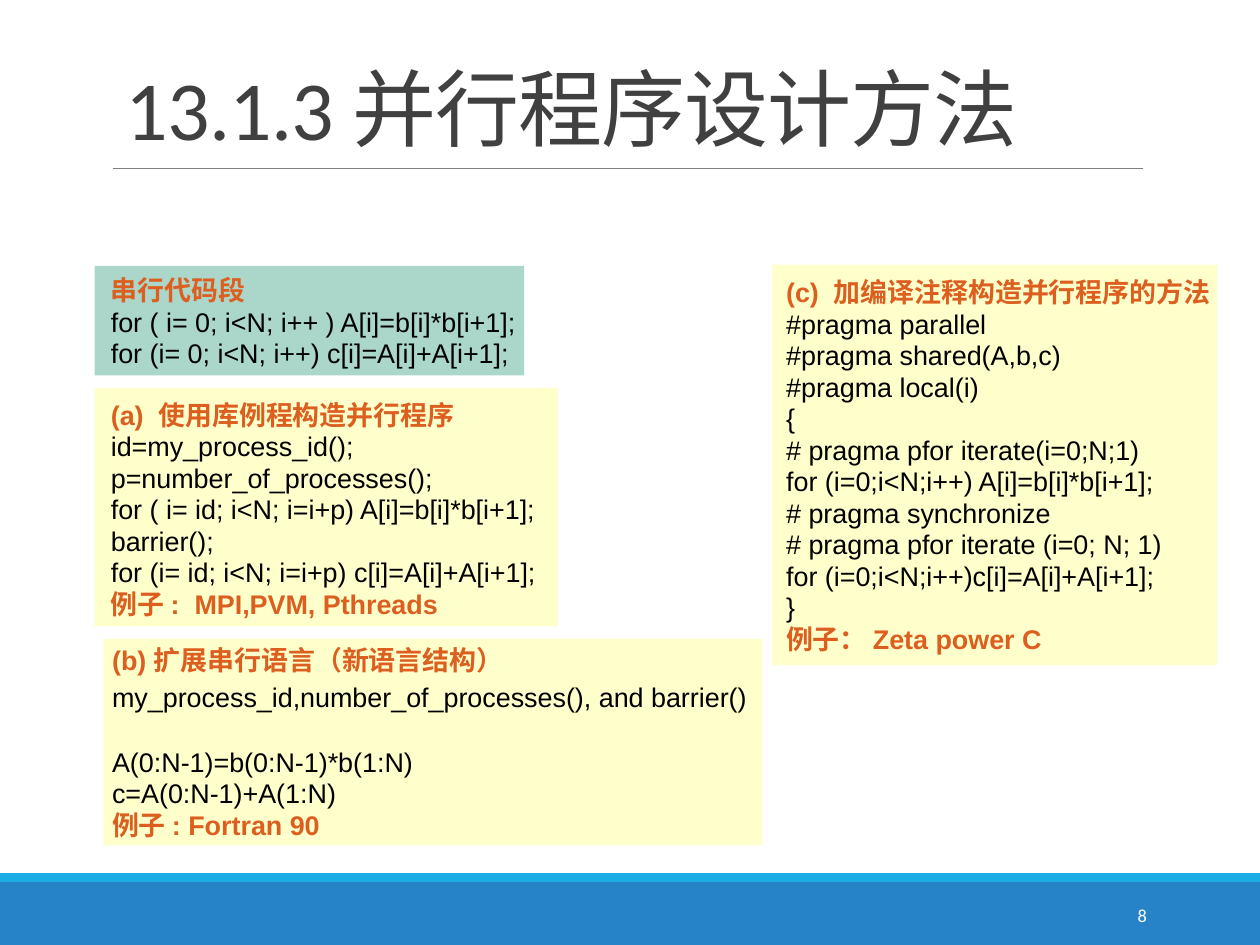
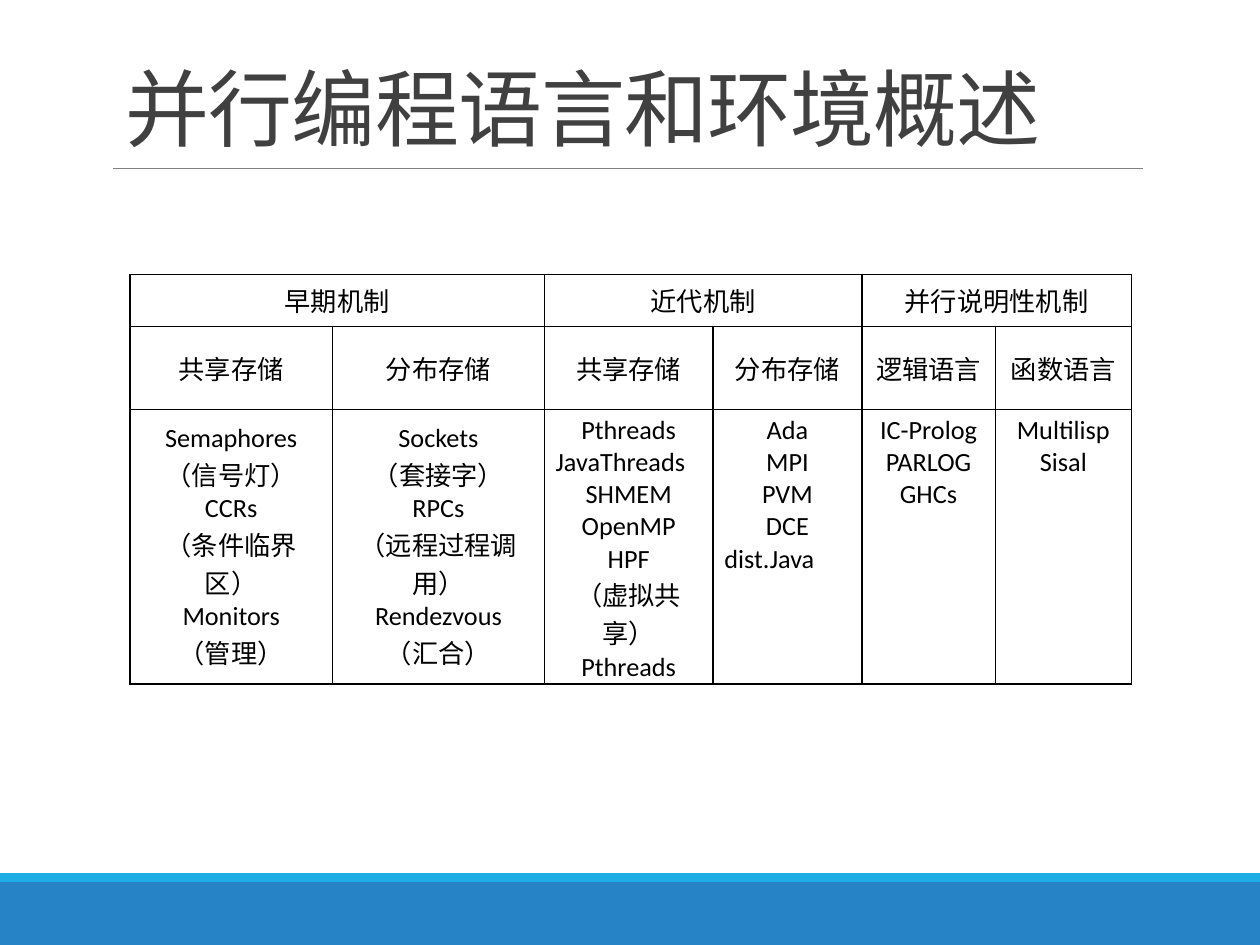
"""Builds two slides on parallel programming methods and languages."""
from itertools import groupby

from lxml import etree
from pptx import Presentation
from pptx.dml.color import RGBColor
from pptx.enum.shapes import MSO_CONNECTOR, MSO_SHAPE
from pptx.enum.text import MSO_ANCHOR, PP_ALIGN
from pptx.oxml.ns import qn
from pptx.util import Inches, Pt

RECT = MSO_SHAPE.RECTANGLE
STRAIGHT = MSO_CONNECTOR.STRAIGHT
TOP, MIDDLE, BOTTOM = MSO_ANCHOR.TOP, MSO_ANCHOR.MIDDLE, MSO_ANCHOR.BOTTOM
LEFT, CENTER, RIGHT = PP_ALIGN.LEFT, PP_ALIGN.CENTER, PP_ALIGN.RIGHT

COLORS = {
    "band": "2683C6", "stripe": "1CADE4", "rule": "808080", "title": "404040",
    "white": "FFFFFF", "black": "000000", "accent": "DC5F20",
    "serial": "ABD7CB", "parallel": "FFFFCC",
}
BODY, CODE, CJK = "Calibri", "Arial", "Noto Sans CJK SC"

SERIAL_LINES = [
    "串行代码段",
    "for ( i= 0; i<N; i++ ) A[i]=b[i]*b[i+1];",
    "for (i= 0; i<N; i++) c[i]=A[i]+A[i+1];",
]
LIBRARY_LINES = [
    "(a)  使用库例程构造并行程序",
    "id=my_process_id();",
    "p=number_of_processes();",
    "for ( i= id; i<N; i=i+p) A[i]=b[i]*b[i+1];",
    "barrier();",
    "for (i= id; i<N; i=i+p) c[i]=A[i]+A[i+1];",
    "例子 :  MPI,PVM, Pthreads",
]
LANGUAGE_LINES = [
    "(b) 扩展串行语言（新语言结构）",
    "my_process_id,number_of_processes(), and barrier()",
    "A(0:N-1)=b(0:N-1)*b(1:N)",
    "c=A(0:N-1)+A(1:N)",
    "例子 : Fortran 90",
]
PRAGMA_LINES = [
    "(c)  加编译注释构造并行程序的方法",
    "#pragma parallel",
    "#pragma shared(A,b,c)",
    "#pragma local(i)",
    "{",
    "# pragma pfor iterate(i=0;N;1)",
    "for (i=0;i<N;i++) A[i]=b[i]*b[i+1];",
    "# pragma synchronize",
    "# pragma pfor iterate (i=0; N; 1)",
    "for (i=0;i<N;i++)c[i]=A[i]+A[i+1];",
    "}",
    "例子： Zeta power C",
]

MECHANISMS = ["早期机制", "近代机制", "并行说明性机制"]
KINDS = ["共享存储", "分布存储", "共享存储", "分布存储", "逻辑语言", "函数语言"]
EXAMPLES = [
    ["Semaphores", "（信号灯）", "CCRs", "（条件临界区）", "Monitors", "（管理）"],
    ["Sockets", "（套接字）", "RPCs", "（远程过程调用）", "Rendezvous", "（汇合）"],
    ["Pthreads", "JavaThreads", "SHMEM", "OpenMP", "HPF", "（虚拟共享）", "Pthreads"],
    ["Ada", "MPI", "PVM", "DCE", "dist.Java"],
    ["IC-Prolog", "PARLOG", "GHCs"],
    ["Multilisp", "Sisal"],
]
LEFT_ALIGNED = {"JavaThreads", "dist.Java"}
COL_WIDTHS = [1.61, 1.68, 1.34, 1.18, 1.06, 1.08]
ROW_HEIGHTS = [0.41, 0.66, 2.18]


def rgb(name):
    """Return a named colour."""
    return RGBColor.from_string(COLORS[name])


def style(p, size, color, name=None, bold=False):
    """Set the font of a paragraph."""
    p.font.size = Pt(size)
    p.font.color.rgb = rgb(color)
    p.font.bold = bold
    if name:
        p.font.name = name


def add_rect(slide, box, color):
    """Add a plain filled rectangle."""
    sp = slide.shapes.add_shape(RECT, *map(Inches, box))
    sp.shadow.inherit = False
    sp.fill.solid()
    sp.fill.fore_color.rgb = rgb(color)
    sp.line.fill.background()
    return sp


def add_text(slide, box, text, size, color, anchor, align=LEFT):
    """Add a one-paragraph text box and return its paragraph."""
    tf = slide.shapes.add_textbox(*map(Inches, box)).text_frame
    tf.word_wrap = True
    tf.vertical_anchor = anchor
    p = tf.paragraphs[0]
    p.text = text
    p.alignment = align
    style(p, size, color, BODY)
    return p


def add_base(prs, title):
    """Add a slide with its footer bands, title and title rule."""
    slide = prs.slides.add_slide(prs.slide_layouts[6])
    add_rect(slide, (0, 7, 10, 0.5), "band")
    add_rect(slide, (0, 6.93, 10, 0.07), "stripe")
    rule = slide.shapes.add_connector(
        STRAIGHT, *map(Inches, (0.9, 1.34, 9.07, 1.34)))
    rule.line.color.rgb = rgb("rule")
    rule.line.width = Pt(0.5)
    etree.SubElement(rule._element.spPr, qn("a:effectLst"))
    p = add_text(slide, (0.9, 0.31, 8.25, 0.99), title, 48, "title", BOTTOM)
    p.line_spacing = 0.85
    p._p.pPr.find(qn("a:defRPr")).set("spc", "-50")
    return slide


def add_code_panel(slide, box, color, lines, inset, lead, gaps=None):
    """Add a panel of code whose lines holding Chinese text are accented."""
    tf = add_rect(slide, box, color).text_frame
    tf.word_wrap = True
    tf.vertical_anchor = TOP
    tf.margin_left, tf.margin_top = map(Inches, inset)
    tf.margin_right = tf.margin_bottom = 0
    for i, line in enumerate(lines):
        p = tf.paragraphs[0] if i == 0 else tf.add_paragraph()
        p.alignment = LEFT
        p.line_spacing = Pt(18 if i else lead)
        if gaps and i in gaps:
            p.space_before = Pt(gaps[i])
        accented = not line.isascii()
        style(p, 15.4, "accent" if accented else "black", bold=accented)
        for ascii_run, chars in groupby(line, str.isascii):
            r = p.add_run()
            r.text = "".join(chars)
            r.font.name = CODE if ascii_run else CJK


def add_borders(cell):
    """Draw a thin black line on each side of a cell."""
    tc_pr = cell._tc.get_or_add_tcPr()
    for i, side in enumerate("LRTB"):
        ln = etree.Element(qn(f"a:ln{side}"), w=str(Pt(1)))
        fill = etree.SubElement(ln, qn("a:solidFill"))
        etree.SubElement(fill, qn("a:srgbClr"), val=COLORS["black"])
        tc_pr.insert(i, ln)


def fill_cell(cell, lines, anchor=MIDDLE):
    """Write centred lines into a table cell."""
    cell.vertical_anchor = anchor
    cell.margin_left = cell.margin_right = Inches(0.09)
    cell.margin_top = cell.margin_bottom = Inches(0.04)
    tf = cell.text_frame
    tf.text = "\n".join(lines)
    for p in tf.paragraphs:
        p.alignment = LEFT if p.text in LEFT_ALIGNED else CENTER
        style(p, 15, "black", BODY)


def add_language_table(slide):
    """Add the table of languages grouped by mechanism."""
    box = (1.03, 2.18, sum(COL_WIDTHS), sum(ROW_HEIGHTS))
    table = slide.shapes.add_table(3, 6, *map(Inches, box)).table
    table.first_row = table.horz_banding = False
    for col, width in zip(table.columns, COL_WIDTHS):
        col.width = Inches(width)
    for row, height in zip(table.rows, ROW_HEIGHTS):
        row.height = Inches(height)
    for cell in table.iter_cells():
        cell.fill.background()
        add_borders(cell)
    for i, mechanism in enumerate(MECHANISMS):
        head = table.cell(0, 2 * i)
        head.merge(table.cell(0, 2 * i + 1))
        fill_cell(head, [mechanism])
    for i, (kind, examples) in enumerate(zip(KINDS, EXAMPLES)):
        fill_cell(table.cell(1, i), [kind])
        fill_cell(table.cell(2, i), examples, MIDDLE if i < 3 else TOP)


def main():
    """Build and save the slides."""
    prs = Presentation()
    prs.slide_width, prs.slide_height = Inches(10), Inches(7.5)

    slide = add_base(prs, "13.1.3 并行程序设计方法")
    add_text(slide, (8.12, 7.06, 1.08, 0.4), "8", 10.5, "white", MIDDLE, RIGHT)
    add_code_panel(slide, (0.75, 2.11, 3.41, 0.87), "serial",
                   SERIAL_LINES, (0.13, 0.12), 14.5)
    add_code_panel(slide, (0.75, 3.08, 3.68, 1.89), "parallel",
                   LIBRARY_LINES, (0.13, 0.1), 17)
    add_code_panel(slide, (0.82, 5.07, 5.23, 1.64), "parallel",
                   LANGUAGE_LINES, (0.07, 0), 21.5, {1: 3, 2: 19})
    add_code_panel(slide, (6.13, 2.1, 3.53, 3.18), "parallel",
                   PRAGMA_LINES, (0.11, 0.11), 17)

    add_language_table(add_base(prs, "并行编程语言和环境概述"))
    prs.save("out.pptx")


if __name__ == "__main__":
    main()
